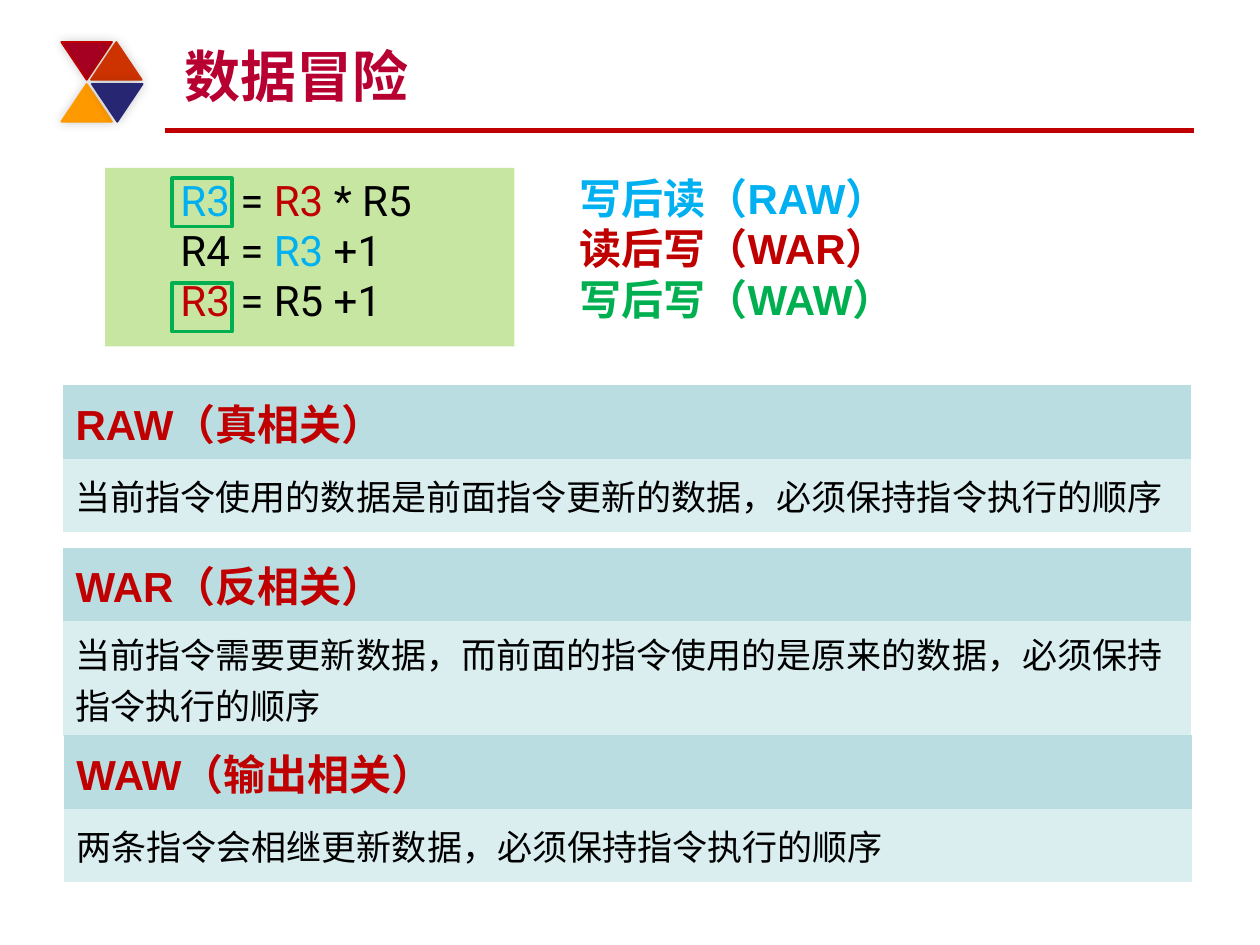
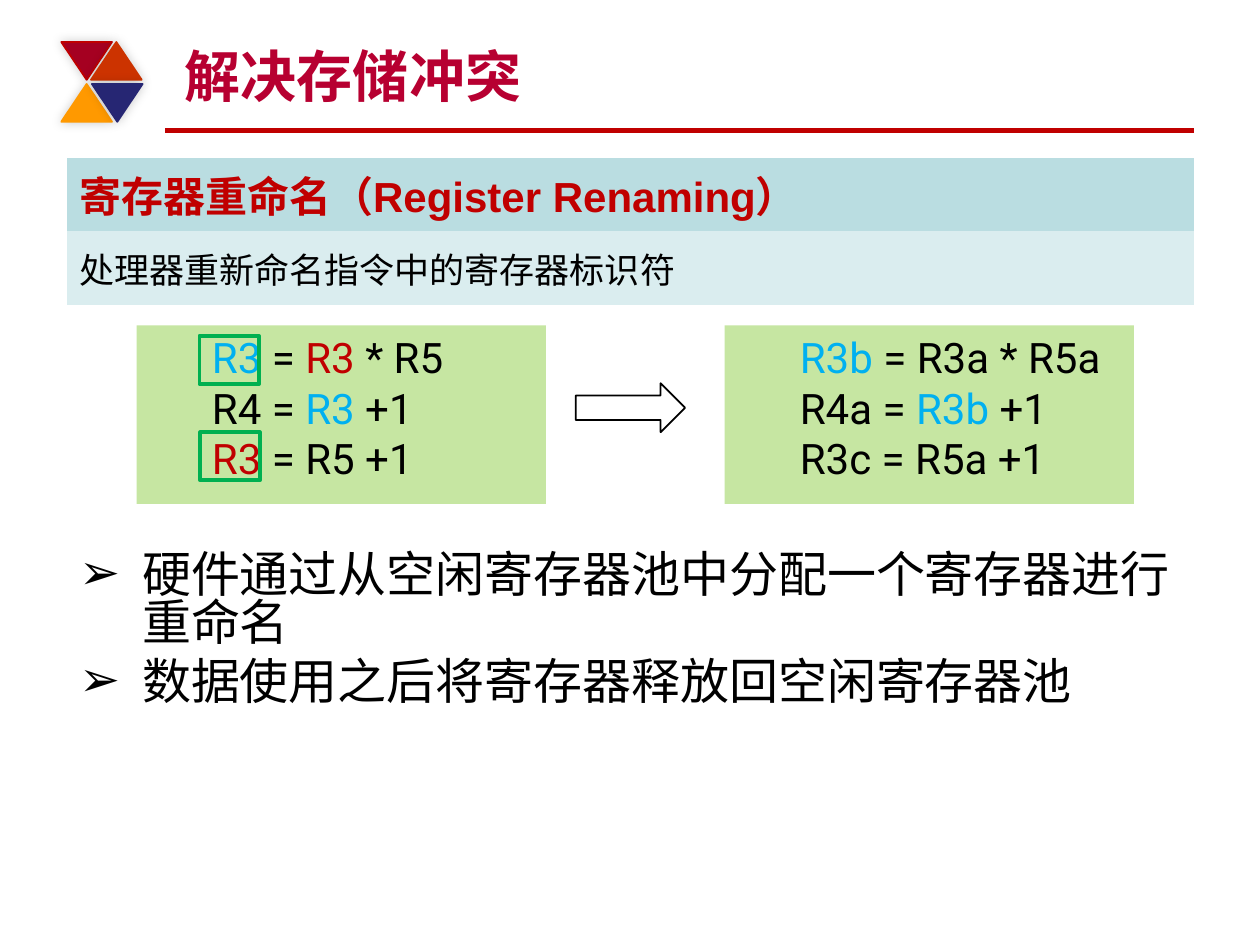
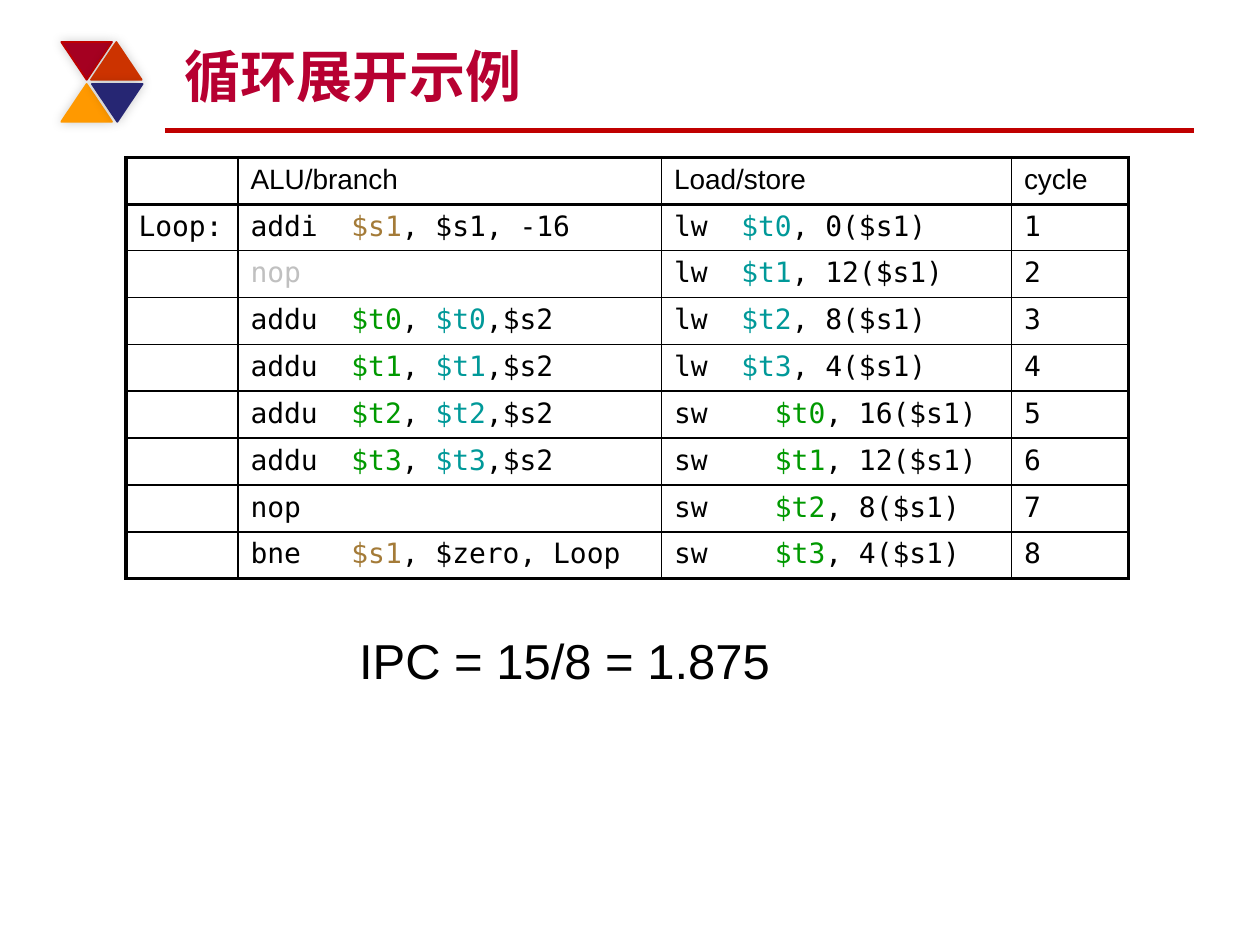
import lxml.etree
import pptx
import pptx.dml.color
import pptx.enum.shapes
import pptx.enum.text
import pptx.oxml
import pptx.oxml.ns
import pptx.util

Pt = pptx.util.Pt
rgb = pptx.dml.color.RGBColor.from_string
qn = pptx.oxml.ns.qn
SHAPE = pptx.enum.shapes.MSO_SHAPE
ALIGN = pptx.enum.text.PP_ALIGN
ANCHOR = pptx.enum.text.MSO_ANCHOR
A_NS = 'xmlns:a="http://schemas.openxmlformats.org/drawingml/2006/main"'

BLACK, RED, BLUE, LEAF = "000000", "C00000", "00B0F0", "00B050"
GREEN, TEAL, BROWN, GREY = "009900", "009999", "A47B38", "C0C0C0"
TITLE, CODE_FILL, HEAD_FILL, BODY_FILL = "B70031", "C6E6A2", "BADDE1", "DAEDEF"
NO_STYLE = "{2D5ABB26-0587-4C30-8999-92F81FD0307C}"


def write(p, runs, size, font="Arial", bold=False):
    """Add (text, colour) runs; an empty list only sets the line height."""
    for text, colour in runs:
        r = p.add_run()
        r.text = text
        r.font.size, r.font.name, r.font.bold = Pt(size), font, bold
        r.font.color.rgb = rgb(colour)
    if not runs:
        lxml.etree.SubElement(p._p, qn("a:endParaRPr"), sz=str(size * 100))


def box(s, kind, at, fill=None, line=None, weight=1):
    sp = s.shapes.add_shape(kind, *map(Pt, at))
    sp.shadow.inherit = False
    if fill:
        sp.fill.solid()
        sp.fill.fore_color.rgb = rgb(fill)
    else:
        sp.fill.background()
    if line:
        sp.line.color.rgb = rgb(line)
        sp.line.width = Pt(weight)
    else:
        sp.line.fill.background()
    return sp


prs = pptx.Presentation()
prs.slide_width, prs.slide_height = Pt(720), Pt(540)
layout = prs.slide_layouts[1]
sp = layout.placeholders[0]
sp.left, sp.top, sp.width, sp.height = Pt(98.5), Pt(18), Pt(576), Pt(48)
sp.text_frame.vertical_anchor = ANCHOR.BOTTOM

# Titles
slides = []
for title in ("数据冒险", "解决存储冲突", "循环展开示例"):
    s = prs.slides.add_slide(layout)
    tf = s.shapes.title.text_frame
    tf.auto_size = pptx.enum.text.MSO_AUTO_SIZE.NONE
    tf.paragraphs[0].alignment = ALIGN.LEFT
    write(tf.paragraphs[0], [(title, TITLE)], 32, bold=True)
    slides.append(s)
hazards, renaming, unrolling = slides

# Title rule and triangles, drawn once and moved to the layout
rule = hazards.shapes.add_connector(
    pptx.enum.shapes.MSO_CONNECTOR.STRAIGHT, Pt(94.5), Pt(74.5), Pt(682.5), Pt(74.5))
rule.line.color.rgb = rgb(RED)
rule.line.width = Pt(3)
lxml.etree.SubElement(rule.element.spPr, qn("a:effectLst"))
decoration = [rule]
for left, top, turn, fill, line in (
    (35, 24, 180, "A50021", RED),
    (52, 24, 0, "CC3300", "CC3300"),
    (35, 48, 0, "FF9900", "FF9900"),
    (52.5, 48, 180, "262673", "262673"),
):
    sp = box(hazards, SHAPE.ISOSCELES_TRIANGLE, (left, top, 29, 21.6), fill, line)
    sp.rotation = turn
    effects = sp.element.spPr.find(qn("a:effectLst"))
    effects.append(pptx.oxml.parse_xml(
        f'<a:outerShdw {A_NS} blurRad="{Pt(6)}" dist="0" dir="18900000">'
        '<a:srgbClr val="000000"><a:alpha val="20000"/></a:srgbClr></a:outerShdw>'))
    decoration.append(sp)
for number, sp in enumerate(decoration, 20):
    sp.element.xpath(".//p:cNvPr")[0].set("id", str(number))
    layout.element.cSld.spTree.append(sp.element)

# Body text
for s, at, size, bold, bullet, spacing, lines in (
    (hazards, (324, 95, 316, 121), 24, True, None, 0.84,
     [("写后读（RAW）", BLUE), ("读后写（WAR）", RED), ("写后写（WAW）", LEAF)]),
    (renaming, (38, 308, 644.5, 142), 28, False, "➢", 0.83,
     [("硬件通过从空闲寄存器池中分配一个寄存器进行重命名", BLACK),
      ("数据使用之后将寄存器释放回空闲寄存器池", BLACK)]),
    (unrolling, (198, 352, 406, 68.5), 28, False, None, 1.0,
     [("IPC = 15/8 = 1.875", BLACK)]),
):
    sp = s.placeholders[1]
    sp.left, sp.top, sp.width, sp.height = map(Pt, at)
    tf = sp.text_frame
    tf.auto_size = pptx.enum.text.MSO_AUTO_SIZE.NONE
    tf.margin_top = Pt(8)
    for i, run in enumerate(lines):
        p = tf.add_paragraph() if i else tf.paragraphs[0]
        pPr = p._p.get_or_add_pPr()
        indent = Pt(36 if bullet else 0)
        pPr.set("marL", str(indent))
        pPr.set("indent", str(-indent))
        if bullet:
            lxml.etree.SubElement(pPr, qn("a:buChar"), char=bullet)
        else:
            lxml.etree.SubElement(pPr, qn("a:buNone"))
        p.line_spacing = spacing
        p.space_before = Pt(size * 0.2 if i else 0)
        write(p, [run], size, bold=bold)

# Code boxes
before = [
    [("R3", BLUE), (" = ", BLACK), ("R3", RED), (" * R5", BLACK)],
    [("R4 = ", BLACK), ("R3", BLUE), (" +1", BLACK)],
    [("R3", RED), (" = R5 +1", BLACK)],
]
after = [
    [("R3b", BLUE), (" = R3a * R5a", BLACK)],
    [("R4a = ", BLACK), ("R3b", BLUE), (" +1", BLACK)],
    [("R3c = R5a +1", BLACK)],
]
for s, left, top, code in (
    (hazards, 60, 96, before), (renaming, 78, 186, before), (renaming, 414, 186, after),
):
    tf = box(s, SHAPE.RECTANGLE, (left, top, 234, 102), CODE_FILL).text_frame
    tf.word_wrap = True
    tf.vertical_anchor = ANCHOR.TOP
    for i, runs in enumerate(code):
        p = tf.add_paragraph() if i else tf.paragraphs[0]
        p.alignment = ALIGN.JUSTIFY
        p._p.get_or_add_pPr().set("marL", str(Pt(36)))
        write(p, runs, 24, "Roboto")

# Frames around the registers written twice
for s, left, top in (
    (hazards, 98.5, 102), (hazards, 98.5, 162), (renaming, 114, 192), (renaming, 114.5, 247),
):
    box(s, SHAPE.RECTANGLE, (left, top, 34, 27.5), line=LEAF, weight=2.25)
box(renaming, SHAPE.RIGHT_ARROW, (329, 219, 62.5, 28), line=BLACK)

# Concept tables
for s, left, top, name, meaning in (
    (hazards, 36, 220, "RAW（真相关）",
     "当前指令使用的数据是前面指令更新的数据，必须保持指令执行的顺序"),
    (hazards, 36, 313, "WAR（反相关）",
     "当前指令需要更新数据，而前面的指令使用的是原来的数据，必须保持指令执行的顺序"),
    (hazards, 36.5, 420, "WAW（输出相关）",
     "两条指令会相继更新数据，必须保持指令执行的顺序"),
    (renaming, 38, 90, "寄存器重命名（Register Renaming）",
     "处理器重新命名指令中的寄存器标识符"),
):
    table = s.shapes.add_table(2, 1, Pt(left), Pt(top), Pt(644.5), Pt(74)).table
    for row, (height, text, size, colour, fill) in enumerate((
        (32, name, 24, RED, HEAD_FILL), (42, meaning, 20, BLACK, BODY_FILL),
    )):
        table.rows[row].height = Pt(height)
        cell = table.cell(row, 0)
        cell.vertical_anchor = ANCHOR.MIDDLE
        cell.fill.solid()
        cell.fill.fore_color.rgb = rgb(fill)
        write(cell.text_frame.paragraphs[0], [(text, colour)], size, bold=row == 0)

# Unrolled loop schedule
alu = [[("addi  ", BLACK), ("$s1", BROWN), (", $s1, -16", BLACK)], [("nop", GREY)]]
for i in range(4):
    alu.append([("addu  ", BLACK), (f"$t{i}", GREEN), (", ", BLACK),
                (f"$t{i}", TEAL), (",$s2", BLACK)])
alu += [[("nop", BLACK)],
        [("bne   ", BLACK), ("$s1", BROWN), (", $zero, Loop", BLACK)]]
memory = []
for operation, colour, offsets in (
    ("lw  ", TEAL, (0, 12, 8, 4)), ("sw    ", GREEN, (16, 12, 8, 4)),
):
    for i, offset in enumerate(offsets):
        memory.append([(operation, BLACK), (f"$t{i}", colour), (f", {offset}($s1)", BLACK)])
schedule = [[[], [("ALU/branch", BLACK)], [("Load/store", BLACK)], [("cycle", BLACK)]]]
for i in range(8):
    label = [] if i else [("Loop:", BLACK)]
    schedule.append([label, alu[i], memory[i], [(str(i + 1), BLACK)]])

widths = (64, 242, 200, 67)
last_row, last_col = len(schedule) - 1, len(widths) - 1
table = unrolling.shapes.add_table(
    len(schedule), len(widths), Pt(72), Pt(90), Pt(sum(widths)), Pt(237.6)).table
for col, width in enumerate(widths):
    table.columns[col].width = Pt(width)
for row, cells in enumerate(schedule):
    table.rows[row].height = Pt(26.4)
    for col, runs in enumerate(cells):
        cell = table.cell(row, col)
        write(cell.text_frame.paragraphs[0], runs, 16, "DejaVu Sans Mono" if row else "Arial")
        tcPr = cell._tc.get_or_add_tcPr()
        for side, weight in (
            ("L", 1 if col else 2.25),
            ("R", 2.25 if col == last_col else 1),
            ("T", {0: 2.25, 1: 1.5}.get(row, 1)),
            ("B", {0: 1.5, last_row: 2.25}.get(row, 1)),
        ):
            tcPr.append(pptx.oxml.parse_xml(
                f'<a:ln{side} {A_NS} w="{Pt(weight)}"><a:solidFill>'
                f'<a:srgbClr val="{BLACK}"/></a:solidFill></a:ln{side}>'))
        cell.fill.background()

# Plain style for every table
for s in slides:
    for sp in s.shapes:
        if sp.has_table:
            sp.table.first_row = sp.table.horz_banding = False
            sp.element.find(".//" + qn("a:tableStyleId")).text = NO_STYLE

prs.save("out.pptx")
